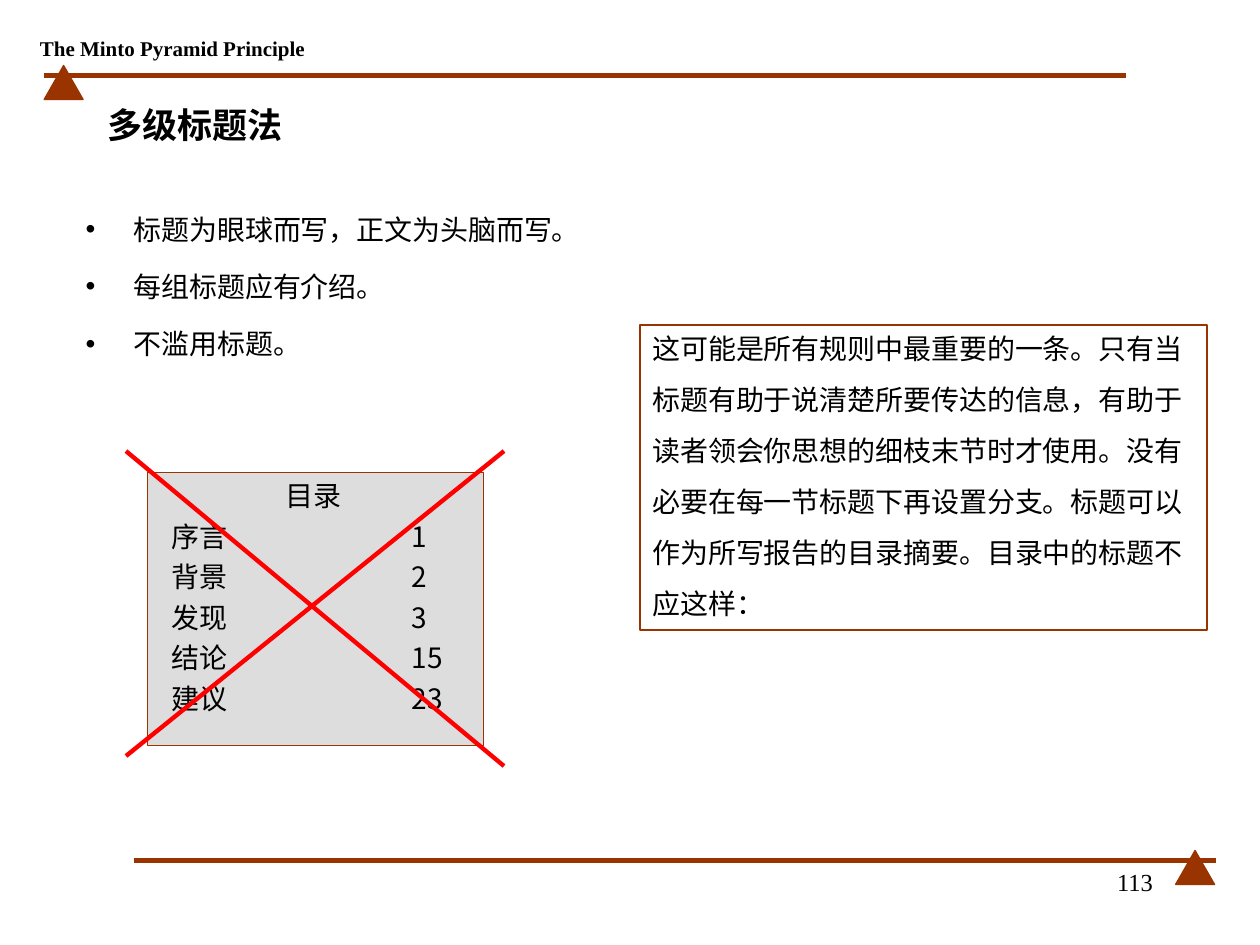
from typing import NamedTuple

from lxml import etree
from pptx import Presentation
from pptx.dml.color import RGBColor
from pptx.enum.shapes import MSO_CONNECTOR, MSO_SHAPE
from pptx.enum.text import MSO_ANCHOR, MSO_AUTO_SIZE, PP_ALIGN
from pptx.oxml.ns import qn
from pptx.util import Inches, Pt

STRAIGHT = MSO_CONNECTOR.STRAIGHT
TRIANGLE, RECTANGLE = MSO_SHAPE.ISOSCELES_TRIANGLE, MSO_SHAPE.RECTANGLE
TOP, MIDDLE = MSO_ANCHOR.TOP, MSO_ANCHOR.MIDDLE
LEFT, CENTER, RIGHT = PP_ALIGN.LEFT, PP_ALIGN.CENTER, PP_ALIGN.RIGHT

BROWN = RGBColor(0x99, 0x33, 0x00)
RED = RGBColor(0xFF, 0x00, 0x00)
GRAY = RGBColor(0xDD, 0xDD, 0xDD)
BLACK = RGBColor(0x00, 0x00, 0x00)
SERIF = "Times New Roman"
CHINESE = "Noto Sans CJK SC"


class Box(NamedTuple):
    left: float
    top: float
    width: float
    height: float


class Line(NamedTuple):
    start: tuple[float, float]
    end: tuple[float, float]
    color: RGBColor
    weight: float


class Entry(NamedTuple):
    heading: str
    page: int


RULES = [
    Line((0.35, 0.6), (8.94, 0.6), BROWN, 3),
    Line((1.06, 6.83), (9.65, 6.83), BROWN, 3),
]
TRIANGLES = [Box(0.35, 0.52, 0.31, 0.27), Box(9.33, 6.75, 0.31, 0.27)]
CROSS = [
    Line((1, 6), (4, 3.58), RED, 2.5),
    Line((1, 3.58), (4, 6.08), RED, 2.5),
]
BULLETS = ["标题为眼球而写，正文为头脑而写。", "每组标题应有介绍。", "不滥用标题。"]
EXPLANATION = [
    "这可能是所有规则中最重要的一条。只有当",
    "标题有助于说清楚所要传达的信息，有助于",
    "读者领会你思想的细枝末节时才使用。没有",
    "必要在每一节标题下再设置分支。标题可以",
    "作为所写报告的目录摘要。目录中的标题不",
    "应这样：",
]
CONTENTS = [
    Entry("序言", 1),
    Entry("背景", 2),
    Entry("发现", 3),
    Entry("结论", 15),
    Entry("建议", 23),
]


def place(shape, box: Box) -> None:
    shape.left, shape.top, shape.width, shape.height = map(Inches, box)


def add_line(slide, line: Line) -> None:
    connector = slide.shapes.add_connector(
        STRAIGHT, *map(Inches, line.start + line.end))
    connector.line.color.rgb = line.color
    connector.line.width = Pt(line.weight)
    etree.SubElement(connector.line._get_or_add_ln().getparent(), qn("a:effectLst"))


def add_outlined_shape(slide, kind, box: Box, fill: RGBColor | None = None):
    shape = slide.shapes.add_shape(kind, *map(Inches, box))
    shape.shadow.inherit = False
    if fill is None:
        shape.fill.background()
    else:
        shape.fill.solid()
        shape.fill.fore_color.rgb = fill
    shape.line.color.rgb = BROWN
    shape.line.width = Pt(0.75)
    return shape


def add_bullet(paragraph, indent: float) -> None:
    properties = paragraph._p.get_or_add_pPr()
    properties.set("marL", str(Inches(indent)))
    properties.set("indent", str(-Inches(indent)))
    color = etree.SubElement(properties, qn("a:buClr"))
    etree.SubElement(color, qn("a:srgbClr"), val=str(BLACK))
    etree.SubElement(properties, qn("a:buChar"), char="•")


def add_tabs(paragraph, stops: tuple[float, ...]) -> None:
    tab_list = etree.SubElement(paragraph._p.get_or_add_pPr(), qn("a:tabLst"))
    for stop in stops:
        etree.SubElement(tab_list, qn("a:tab"), pos=str(Inches(stop)), algn="l")


def write_text(shape, lines: list[str], *, size: float = 16, font: str = CHINESE,
               bold: bool = False, align=LEFT, anchor=TOP, wrap: bool = True,
               space_before: float = 0, line_spacing: float = 1.0,
               bullet_indent: float = 0, tabs: tuple[tuple[float, ...], ...] = ()) -> None:
    """Fill the shape with one paragraph per line; tabs holds the stops of each line."""
    frame = shape.text_frame
    frame.auto_size = MSO_AUTO_SIZE.NONE
    frame.word_wrap = wrap
    frame.vertical_anchor = anchor
    for index, text in enumerate(lines):
        paragraph = frame.add_paragraph() if index else frame.paragraphs[0]
        paragraph.alignment = align
        paragraph.line_spacing = line_spacing
        paragraph.space_before = Pt(space_before if index else 0)
        if bullet_indent:
            add_bullet(paragraph, bullet_indent)
        if tabs:
            add_tabs(paragraph, tabs[index])
        run = paragraph.add_run()
        run.text = text
        run.font.size = Pt(size)
        run.font.bold = bold
        run.font.color.rgb = BLACK
        run.font.name = font
        etree.SubElement(run.font._element, qn("a:ea"),
                         typeface=CHINESE)


def add_label(slide, box: Box, text: str, **text_format) -> None:
    label = slide.shapes.add_textbox(*map(Inches, box))
    write_text(label, [text], font=SERIF, **text_format)


def add_contents_card(slide) -> None:
    card = add_outlined_shape(slide, RECTANGLE, Box(1.17, 3.75, 2.67, 2.17), GRAY)
    lines = ["\t目录"] + [f"\t{entry.heading}\t{entry.page}" for entry in CONTENTS]
    stops = ((1.0,),) + ((0.09, 2.0),) * len(CONTENTS)
    write_text(card, lines, space_before=4, tabs=stops)


def main() -> None:
    presentation = Presentation()
    presentation.slide_width, presentation.slide_height = Inches(10), Inches(7.5)
    slide = presentation.slides.add_slide(presentation.slide_layouts[1])

    for rule, triangle in zip(RULES, TRIANGLES):
        add_line(slide, rule)
        add_outlined_shape(slide, TRIANGLE, triangle, BROWN)
    add_label(slide, Box(0.23, 0.24, 2.28, 0.28), "The Minto Pyramid Principle",
              size=12, bold=True, align=CENTER, anchor=MIDDLE, wrap=False)
    add_label(slide, Box(7.17, 6.83, 2.08, 0.5), "113", size=14, align=RIGHT)

    title, body = slide.shapes.title, slide.placeholders[1]
    place(title, Box(0.75, 0.67, 8.74, 0.64))
    write_text(title, ["多级标题法"], size=20, font=SERIF, bold=True, anchor=MIDDLE)
    place(body, Box(0.58, 1.5, 4.33, 1.75))
    write_text(body, BULLETS, space_before=4, line_spacing=1.5, bullet_indent=0.38)

    explanation = add_outlined_shape(slide, RECTANGLE, Box(5.08, 2.58, 4.5, 2.42))
    write_text(explanation, EXPLANATION, space_before=10)

    add_contents_card(slide)
    for stroke in CROSS:
        add_line(slide, stroke)
    presentation.save("out.pptx")


if __name__ == "__main__":
    main()
